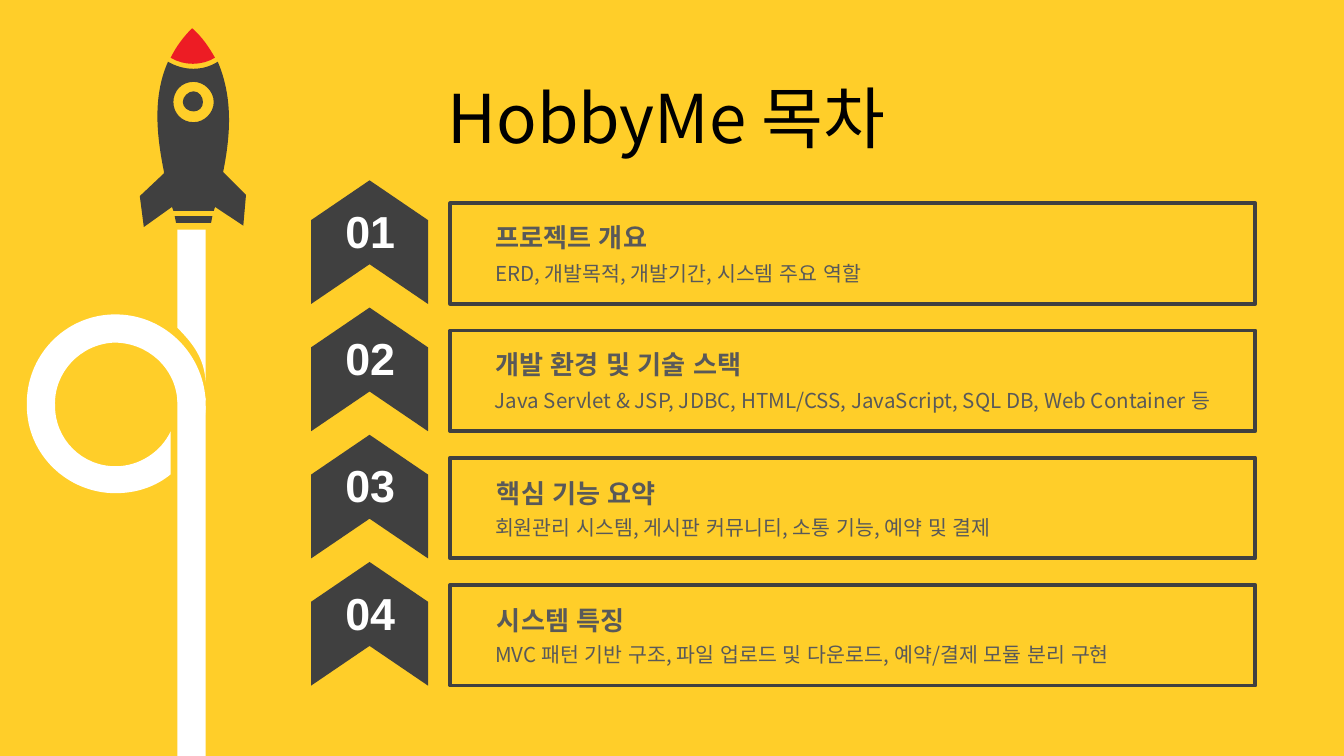
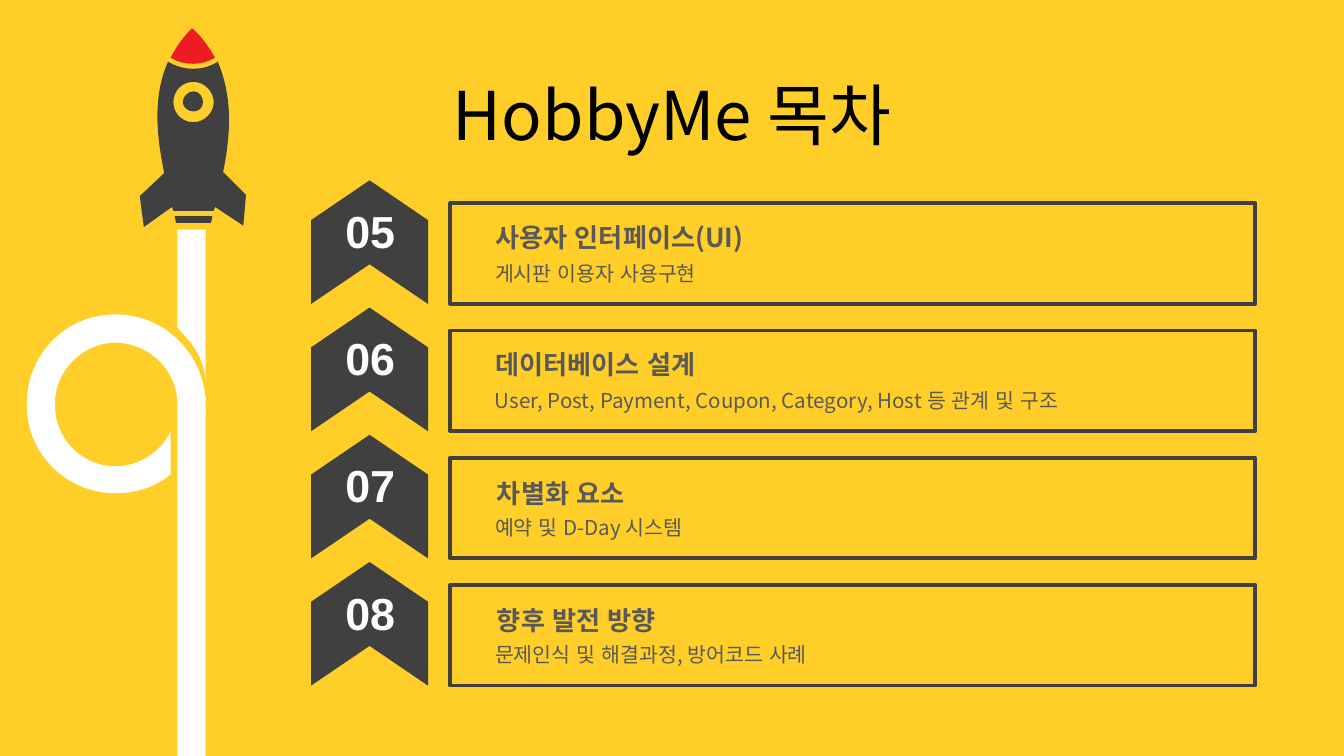
from itertools import islice

from lxml.etree import SubElement
from pptx import Presentation
from pptx.dml.color import RGBColor
from pptx.enum.lang import MSO_LANGUAGE_ID
from pptx.enum.shapes import MSO_SHAPE
from pptx.enum.text import MSO_ANCHOR, PP_ALIGN
from pptx.oxml.ns import qn
from pptx.util import Emu, Inches, Pt

PX = 9144  # 100 px to the inch
YELLOW = RGBColor(0xFF, 0xCE, 0x29)
DARK = RGBColor(0x40, 0x40, 0x40)
GREY = RGBColor(0x59, 0x59, 0x59)
BLACK = RGBColor(0, 0, 0)
WHITE = RGBColor(0xFF, 0xFF, 0xFF)
RED = RGBColor(0xED, 0x1C, 0x24)

KOREAN = {"name": "Noto Sans CJK KR", "language_id": MSO_LANGUAGE_ID.KOREAN}
TITLE = {**KOREAN, "size": Pt(36)}
HEADING = {**KOREAN, "size": Pt(14), "bold": True}
DETAIL = {**KOREAN, "size": Pt(11)}
NUMBER = {"name": "Arial", "size": Pt(24), "bold": True}

FIRST_ROW = 151.2
ROW_PITCH = 94.65
HEADING_HEIGHTS = (35, 35, 60, 60)
TEXT_WIDTHS = (551, 577, 551, 551)

SMOKE_LOOP = """M 148 302 L 153 302 C 153 310 151 318 148 326 Z
    M 84 234 C 121 233 151 262 153 298 L 132 299
    C 131 274 110 255 85 255 C 60 256 40 277 41 302 C 41 327 61 347 86 347
    C 104 347 120 336 127 321 L 127 353 C 116 362 102 367 86 367
    C 50 367 20 338 20 302 C 19 265 48 235 84 234 Z"""
SMOKE_TOP = """M 132 171 L 153 171 C 153 209 153 247 153 284
    C 152 267 144 256 132 244 L 132 171 Z"""
ROCKET_BODY = """M 130 161 L 158 161 C 158 163 157 164 157 166 L 131 166 Z
    M 144 68 C 148 68 151 72 151 76 C 151 80 148 83 144 83
    C 140 83 136 80 136 76 C 136 72 140 68 144 68 Z
    M 144 61 C 135 61 129 68 129 76 C 129 84 135 91 144 91
    C 152 91 159 84 159 76 C 159 68 152 61 144 61 Z
    M 125 46 C 137 53 151 53 162 46 C 174 74 171 103 166 128
    L 183 145 L 181 168 L 160 154 L 159 157 L 129 157
    C 129 156 128 155 128 154 L 107 169 L 104 146 L 122 129 L 122 129 L 122 128
    C 117 103 113 73 125 46 Z"""
ROCKET_NOSE = """M 143 21 C 151 28 156 36 160 43 C 150 49 137 49 127 43
    C 131 35 136 28 143 21 Z"""

SLIDES = [
    ((-4, 55), [
        ("프로젝트 개요", "ERD, 개발목적, 개발기간, 시스템 주요 역할"),
        ("개발 환경 및 기술 스택",
         "Java Servlet & JSP, JDBC, HTML/CSS, JavaScript, SQL DB, Web Container 등"),
        ("핵심 기능 요약", "회원관리 시스템, 게시판 커뮤니티, 소통 기능, 예약 및 결제"),
        ("시스템 특징", "MVC 패턴 기반 구조, 파일 업로드 및 다운로드, 예약/결제 모듈 분리 구현"),
    ]),
    ((0, 53), [
        ("사용자 인터페이스(UI)", "게시판 이용자 사용구현"),
        ("데이터베이스 설계",
         "User, Post, Payment, Coupon, Category, Host 등 관계 및 구조"),
        ("차별화 요소", "예약 및 D-Day 시스템"),
        ("향후 발전 방향", "문제인식 및 해결과정, 방어코드 사례"),
    ]),
]


def emu(*lengths):
    return [Emu(round(v * PX)) for v in lengths]


def paint(sp, fill=None, line=None):
    sp.shadow.inherit = False
    if fill is None:
        sp.fill.background()
    else:
        sp.fill.solid()
        sp.fill.fore_color.rgb = fill
    if line is None:
        sp.line.fill.background()
    else:
        sp.line.color.rgb = line
        sp.line.width = Pt(2)


def add_preset(shapes, kind, box, fill=None, line=None):
    sp = shapes.add_shape(kind, *emu(*box))
    paint(sp, fill, line)
    return sp


def write(sp, text, style, color, align=PP_ALIGN.LEFT, anchor=MSO_ANCHOR.TOP):
    tf = sp.text_frame
    tf.word_wrap = True
    tf.vertical_anchor = anchor
    p = tf.paragraphs[0]
    p.alignment = align
    r = p.add_run()
    r.text = text
    for key, value in style.items():
        setattr(r.font, key, value)
    r.font.color.rgb = color
    SubElement(r.font._element, qn("a:ea"), typeface=style["name"])


def outline_commands(outline):
    """Split an outline into (letter, points) pairs."""
    commands = []
    for token in outline.split():
        if token.isalpha():
            commands.append((token, []))
        else:
            commands[-1][1].append(int(token))
    return [(letter, [emu(*xy) for xy in zip(n[::2], n[1::2])])
            for letter, n in commands]


def bend_lines(sp, commands):
    """Join the three lines that stand for each C command into one curve."""
    geometry = next(sp._element.iter(qn("a:path")))
    lines = iter(geometry.findall(qn("a:lnTo")))
    for letter, points in commands:
        if letter not in "LC":
            continue
        first, *others = islice(lines, len(points))
        if letter == "C":
            first.tag = qn("a:cubicBezTo")
            for line in others:
                first.append(line[0])
                geometry.remove(line)


def add_outline(s, outline, fill):
    commands = outline_commands(outline)
    builder = s.shapes.build_freeform(*commands[0][1][0], scale=1.0)
    for letter, points in commands[1:]:
        if letter == "M":
            builder.move_to(*points[0])
        else:
            builder.add_line_segments(points, close=letter == "Z")
    sp = builder.convert_to_shape()
    bend_lines(sp, commands)
    paint(sp, fill)


def add_rocket(s):
    add_outline(s, SMOKE_LOOP, WHITE)
    add_outline(s, SMOKE_TOP, WHITE)
    add_outline(s, ROCKET_BODY, DARK)
    add_preset(s.shapes, MSO_SHAPE.RECTANGLE, (132, 296, 21, 267), WHITE)
    add_outline(s, ROCKET_NOSE, RED)


def add_title(s, left, top):
    sp = s.shapes.add_textbox(*emu(left, top, 1000, 63))
    write(sp, "HobbyMe 목차", TITLE, BLACK, PP_ALIGN.CENTER, MSO_ANCHOR.MIDDLE)


def add_row(s, row, number, heading, detail):
    top = FIRST_ROW + row * ROW_PITCH
    width = TEXT_WIDTHS[row]
    add_preset(s.shapes, MSO_SHAPE.RECTANGLE, (335, top, 599, 75), line=DARK)

    group = s.shapes.add_group_shape()
    for text, style, offset, height in (
            (heading, HEADING, 7, HEADING_HEIGHTS[row]), (detail, DETAIL, 36.5, 30)):
        sp = add_preset(group.shapes, MSO_SHAPE.ROUND_2_SAME_RECTANGLE,
                        (357, top + offset, width, height))
        write(sp, text, style, GREY)

    chevron = add_preset(s.shapes, MSO_SHAPE.CHEVRON, (229, top - 14.5, 92, 87), DARK)
    chevron.rotation = 270
    chevron.adjustments[0] = 0.34
    sp = s.shapes.add_textbox(*emu(245, top - 4.5, 61, 50))
    write(sp, f"{number:02}", NUMBER, WHITE, PP_ALIGN.CENTER)


def main():
    prs = Presentation()
    prs.slide_width, prs.slide_height = Inches(10), emu(562.5)[0]
    number = 0
    for title_corner, rows in SLIDES:
        s = prs.slides.add_slide(prs.slide_layouts[6])
        s.background.fill.solid()
        s.background.fill.fore_color.rgb = YELLOW
        add_rocket(s)
        add_title(s, *title_corner)
        for row, (heading, detail) in enumerate(rows):
            number += 1
            add_row(s, row, number, heading, detail)
    prs.save("out.pptx")


if __name__ == "__main__":
    main()
